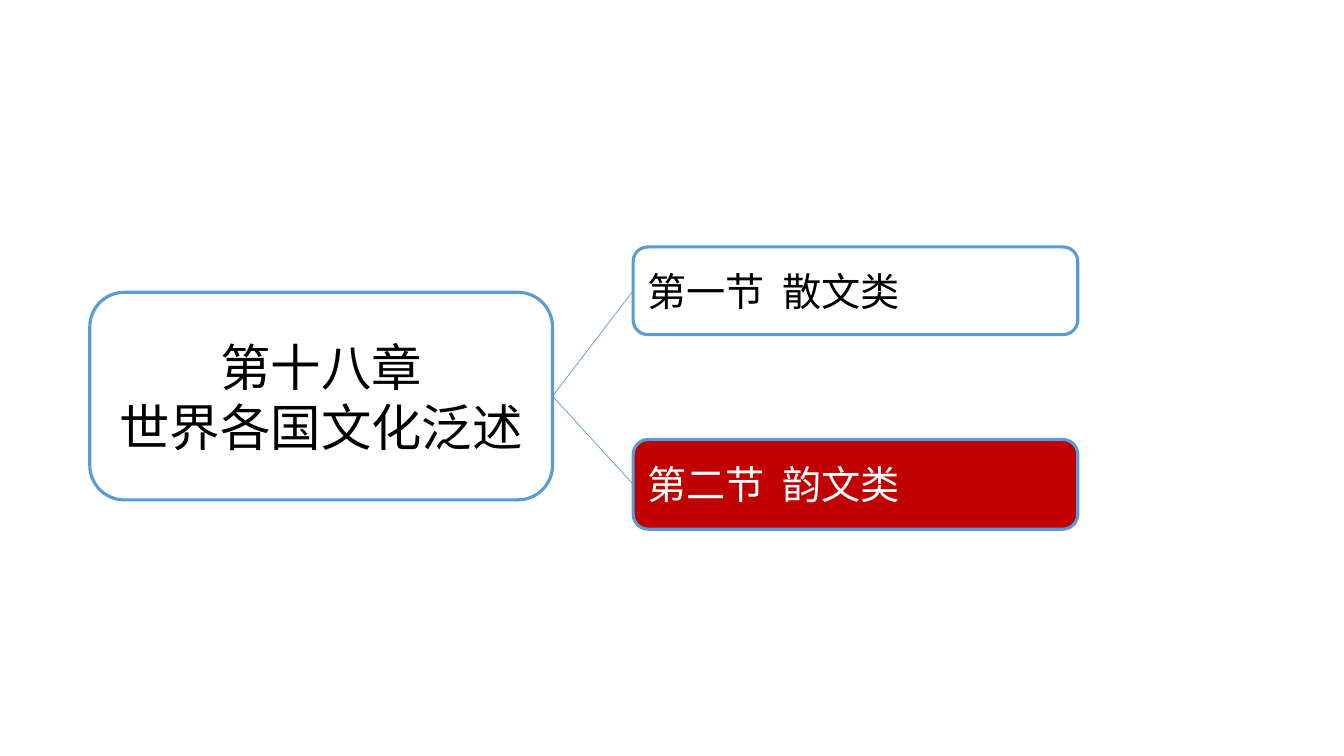
from dataclasses import dataclass

from lxml import etree
from pptx import Presentation
from pptx.dml.color import RGBColor
from pptx.enum.shapes import MSO_CONNECTOR, MSO_SHAPE
from pptx.enum.text import MSO_ANCHOR, PP_ALIGN
from pptx.oxml.ns import qn
from pptx.shapes.autoshape import Shape
from pptx.slide import Slide
from pptx.util import Inches, Pt

ROUNDED = MSO_SHAPE.ROUNDED_RECTANGLE
STRAIGHT = MSO_CONNECTOR.STRAIGHT
MIDDLE = MSO_ANCHOR.MIDDLE
LEFT, CENTER = PP_ALIGN.LEFT, PP_ALIGN.CENTER

BLUE = RGBColor(0x5B, 0x9B, 0xD5)
RED = RGBColor(0xC0, 0x00, 0x00)
BLACK = RGBColor(0x00, 0x00, 0x00)
WHITE = RGBColor(0xFF, 0xFF, 0xFF)

FONT = "Noto Sans CJK SC"
TITLE_TAB = Inches(1.34)
LEFT_SIDE, RIGHT_SIDE = 1, 3


@dataclass(frozen=True)
class Node:
    lines: tuple[str, ...]
    left: float
    top: float
    width: float
    height: float
    size: int
    align: PP_ALIGN = LEFT
    fill: RGBColor = WHITE
    color: RGBColor = BLACK


CHAPTER = Node(("第十八章", "世界各国文化泛述"), 0.89, 2.9, 4.59, 2.06, 36, CENTER)
SECTIONS = (
    Node(("第一节\t散文类",), 6.28, 2.45, 4.41, 0.87, 28),
    Node(("第二节\t韵文类",), 6.28, 4.36, 4.41, 0.89, 28, fill=RED, color=WHITE),
)


def add_node(page: Slide, node: Node) -> Shape:
    box = page.shapes.add_shape(
        ROUNDED, Inches(node.left), Inches(node.top), Inches(node.width), Inches(node.height)
    )
    box.shadow.inherit = False
    box.fill.solid()
    box.fill.fore_color.rgb = node.fill
    box.line.color.rgb = BLUE
    box.line.width = Pt(2.25)

    frame = box.text_frame
    frame.word_wrap = True
    frame.vertical_anchor = MIDDLE
    frame.text = "\n".join(node.lines)
    for para in frame.paragraphs:
        para.alignment = node.align
        properties = para._p.get_or_add_pPr()
        tabs = etree.SubElement(properties, qn("a:tabLst"))
        etree.SubElement(tabs, qn("a:tab"), pos=str(TITLE_TAB), algn="l")
        para.font.size = Pt(node.size)
        para.font.color.rgb = node.color
        para.font.name = FONT
        # East Asian text takes its typeface from a separate element.
        etree.SubElement(properties.find(qn("a:defRPr")), qn("a:ea"), typeface=FONT)
    return box


def add_branch(page: Slide, chapter: Shape, section: Shape) -> None:
    branch = page.shapes.add_connector(STRAIGHT, 0, 0, 0, 0)
    branch.begin_connect(chapter, RIGHT_SIDE)
    branch.end_connect(section, LEFT_SIDE)
    branch.line.color.rgb = BLUE
    branch.line.width = Pt(0.5)
    etree.SubElement(branch._element.spPr, qn("a:effectLst"))


def main() -> None:
    deck = Presentation()
    deck.slide_width, deck.slide_height = Inches(13.33), Inches(7.5)
    page = deck.slides.add_slide(deck.slide_layouts[6])
    chapter = add_node(page, CHAPTER)
    for section in SECTIONS:
        add_branch(page, chapter, add_node(page, section))
    deck.save("out.pptx")


if __name__ == "__main__":
    main()
